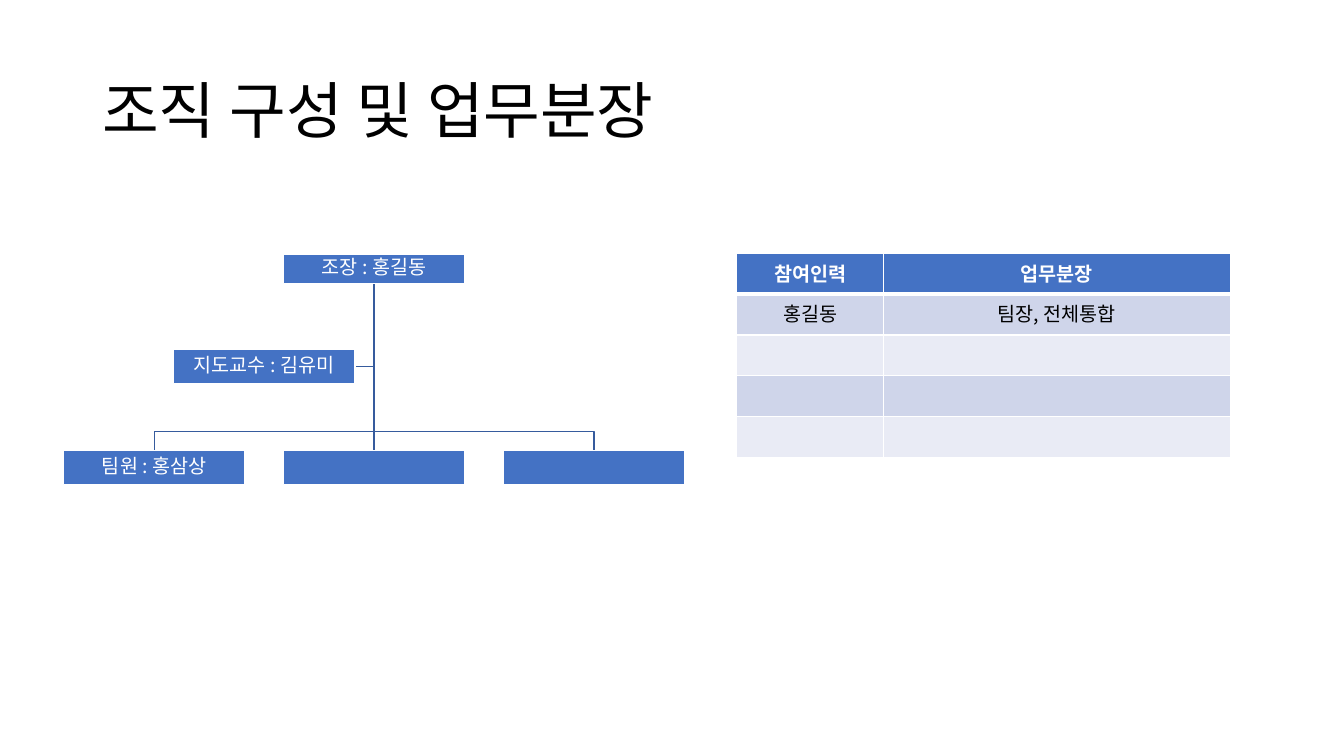
from pptx import Presentation, util as u
from pptx.dml.color import RGBColor
from pptx.enum import shapes, text
from pptx.oxml.ns import qn
from lxml import etree

HUES = {"blue": "4472C4", "line": "365B9D", "white": "FFFFFF",
        "black": "000000", "odd": "CFD5EA", "even": "E9EBF5"}
FONT = "Noto Sans CJK KR"


def tint(name):
    return RGBColor.from_string(HUES[name])


class Deck:
    def __init__(self, slide):
        self.slide = slide
        self.font = {"name": FONT, "size": u.Pt(14), "bold": False}

    def label(self, frame, words, hue, align=text.PP_ALIGN.CENTER, space=0.9, **style):
        para = frame.paragraphs[0]
        para.alignment, para.line_spacing = align, space
        run = para.add_run()
        run.text = words
        for key, val in {**self.font, **style}.items():
            setattr(run.font, key, val)
        run.font.color.rgb = tint(hue)
        # Korean glyphs take the East Asian font
        etree.SubElement(run._r.get_or_add_rPr(), qn("a:ea"), typeface=FONT)

    def frame(self, shape, side, edge):
        form = {"word_wrap": True, "vertical_anchor": text.MSO_ANCHOR.MIDDLE,
                "margin_left": side, "margin_right": side,
                "margin_top": edge, "margin_bottom": edge}
        for key, val in form.items():
            setattr(shape.text_frame, key, val)
        return shape.text_frame

    def title(self, words, *spot):
        box = self.slide.shapes.add_textbox(*map(u.Cm, spot))
        frame = self.frame(box, u.Cm(0.25), u.Cm(0.13))
        self.label(frame, words, "black", text.PP_ALIGN.LEFT, size=u.Pt(44))

    def box(self, words, *spot):
        rect = self.slide.shapes.add_shape(
            shapes.MSO_SHAPE.RECTANGLE, *map(u.Cm, spot))
        rect.shadow.inherit = False
        rect.fill.solid()
        rect.fill.fore_color.rgb = tint("blue")
        self.stroke(rect, "white")
        frame = self.frame(rect, u.Cm(0.03), u.Cm(0.03))
        if words:
            self.label(frame, words, "white")

    def stroke(self, shape, hue):
        shape.line.color.rgb = tint(hue)
        shape.line.width = u.Pt(1)

    def link(self, *spots):
        pts = [(u.Cm(x), u.Cm(y)) for x, y in spots]
        if len(pts) == 2:
            line = self.slide.shapes.add_connector(
                shapes.MSO_CONNECTOR.STRAIGHT, *pts[0], *pts[1])
            etree.SubElement(line._element.spPr, qn("a:effectLst"))
        else:
            bend = self.slide.shapes.build_freeform(*pts[0])
            bend.add_line_segments(pts[1:], close=False)
            line = bend.convert_to_shape()
            line.shadow.inherit = False
            line.fill.background()
        self.stroke(line, "line")

    def edge(self, cell, **sides):
        for side, width in sides.items():
            line = etree.SubElement(cell._tc.get_or_add_tcPr(),
                                    qn("a:ln" + side), w=str(u.Pt(width)))
            fill = etree.SubElement(line, qn("a:solidFill"))
            etree.SubElement(fill, qn("a:srgbClr"), val=HUES["white"])

    def table(self, rows, left, top, wides, high):
        grid = self.slide.shapes.add_table(
            len(rows), len(wides), u.Cm(left), u.Cm(top),
            u.Cm(sum(wides)), u.Cm(high * len(rows))).table
        for col, wide in zip(grid.columns, wides):
            col.width = u.Cm(wide)
        for r, row in enumerate(rows):
            grid.rows[r].height = u.Cm(high)
            head = r == 0
            for c, words in enumerate(row):
                cell = grid.cell(r, c)
                self.edge(cell, L=1, R=1, T=3 if r == 1 else 1, B=3 if head else 1)
                cell.fill.solid()
                cell.fill.fore_color.rgb = tint(
                    "blue" if head else "odd" if r % 2 else "even")
                self.label(cell.text_frame, words, "white" if head else "black",
                           space=1.0, bold=head)


show = Presentation()
show.slide_width, show.slide_height = u.Cm(33.87), u.Cm(19.05)
deck = Deck(show.slides.add_slide(show.slide_layouts[6]))

deck.title("조직 구성 및 업무분장", 2.33, 1.01, 29.21, 3.68)

# Chart measures: three columns, the guide halfway between two
LEFT, STEP, WIDE, HIGH = 1.6, 5.54, 4.58, 0.86
LEAD, LEADH, GUIDE, TEAM, FORK = 6.4, 0.74, 8.8, 11.35, 10.87
mid = LEFT + STEP + WIDE / 2
foot = LEAD + LEADH
side = LEFT + STEP / 2

# Links
deck.link((mid, foot), (mid, GUIDE + HIGH / 2), (side + WIDE, GUIDE + HIGH / 2))
for end in (mid + STEP, mid - STEP):
    deck.link((mid, foot), (mid, FORK), (end, FORK), (end, TEAM))
deck.link((mid, foot), (mid, TEAM))

# People
deck.box("조장 : 홍길동", LEFT + STEP, LEAD, WIDE, LEADH)
for i, name in enumerate(["팀원 : 홍삼상", "", ""]):
    deck.box(name, LEFT + i * STEP, TEAM, WIDE, HIGH)
deck.box("지도교수 : 김유미", side, GUIDE, WIDE, HIGH)

# Duties
duties = [("참여인력", "업무분장"), ("홍길동", "팀장, 전체통합")] + [("", "")] * 3
deck.table(duties, 18.57, 6.38, [3.7, 8.73], 1.03)

show.save("out.pptx")
